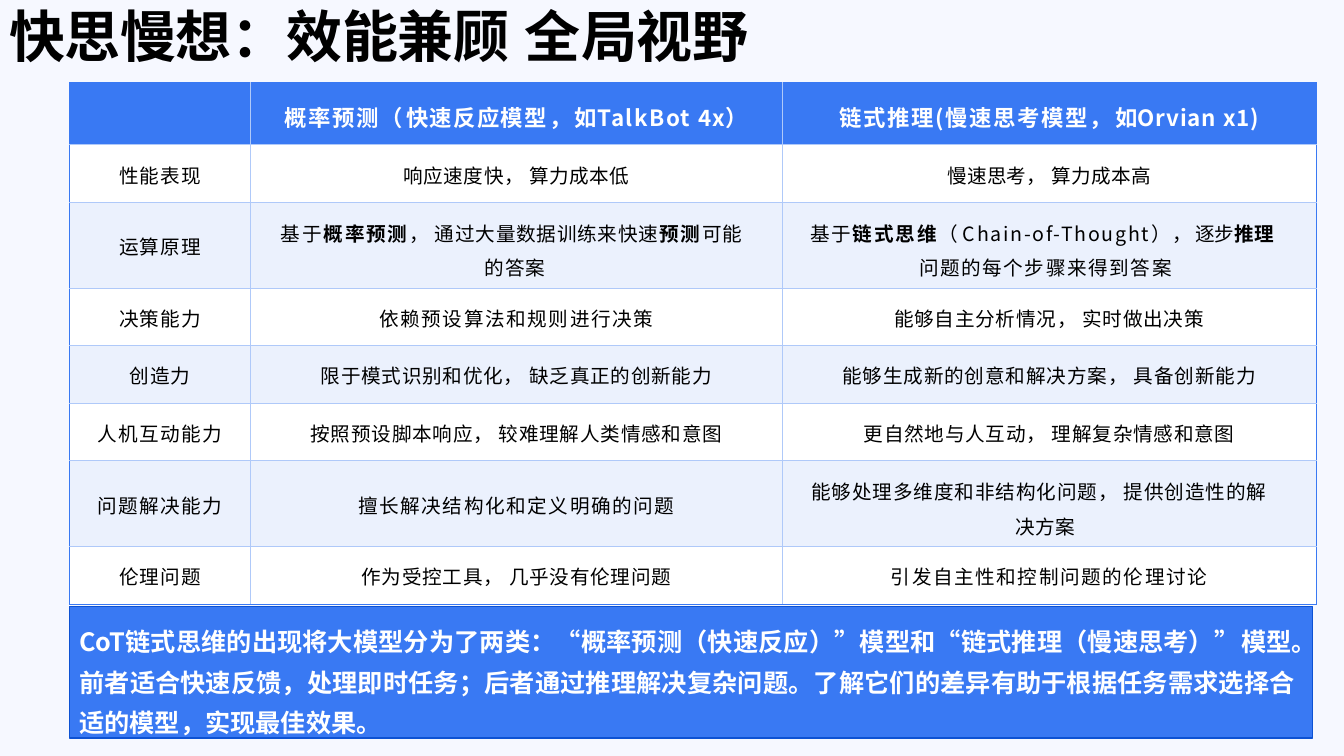
from dataclasses import dataclass

from lxml.etree import SubElement
from pptx import Presentation
from pptx.dml.color import RGBColor
from pptx.enum.shapes import MSO_SHAPE as Preset
from pptx.enum.text import MSO_ANCHOR as Anchor, PP_ALIGN as Align
from pptx.oxml import parse_xml
from pptx.oxml.ns import nsdecls, qn
from pptx.util import Cm, Pt


@dataclass(frozen=True)
class Theme:
    background: str = "F6F8FF"
    blue: str = "3979F3"
    outline: str = "0D52D3"
    grid: str = "AFC9F9"
    band: str = "EBF1FD"
    white: str = "FFFFFF"
    black: str = "000000"
    regular: str = "Noto Sans CJK SC"
    strong: str = "Noto Sans CJK TC"
    title: int = 40
    header: int = 16
    body: int = 14
    summary: int = 18


@dataclass(frozen=True)
class Piece:
    text: str
    spacing: float = 0
    bold: bool = False


@dataclass(frozen=True)
class Hanging:
    left: float
    first: float


THEME = Theme()
COLUMN_WIDTHS = (4.57, 13.39, 13.46)
HEADER_HEIGHT, ROW_HEIGHT, TALL_HEIGHT, SUMMARY_HEIGHT = 1.57, 1.45, 2.16, 3.38

TITLE = [Piece("快思慢想：效能兼", -0.3, True), Piece("顾 全", 0.8, True), Piece("局视野", -0.3, True)]

HEADERS = [
    [],
    [Piece("概率预测", 1.2, True), Piece("（ 快", -0.5, True), Piece("速反应模型", 1.2, True),
     Piece("， 如", -0.6, True), Piece("TalkBot ", 1.1, True), Piece("4x）", 0.5, True)],
    [Piece("链式推理(慢速思考模型", 1.2, True), Piece("， 如", -0.6, True),
     Piece("Orvian ", 0.6, True), Piece("x1)", 0.5, True)],
]

ROWS = [
    [[Piece("性能表现", 0.8)], [Piece("响应速度快， 算力成本低", 0.3)], [Piece("慢速思考， 算力成本高", 0.2)]],
    [
        [Piece("运算原理", 0.8)],
        [Piece("基于", 1.2), Piece("概率预测", 1.3, True), Piece("， 通过大量数据训练来快速", 0.5),
         Piece("预测", 1.3, True), Piece("可能", 0.3), Piece("的答案", 0.7)],
        [Piece("基于", 1.2), Piece("链式思维", 1.3, True), Piece("（ "), Piece("Chain-of-Thought）", 1.2),
         Piece("， 逐步", -0.4), Piece("推理", 0.4, True), Piece("问题的每个步骤来得到答案", 1.1)],
    ],
    [[Piece("决策能力", 0.8)], [Piece("依赖预设算法和规则进行决策", 1.1)],
     [Piece("能够自主分析情况， 实时做出决策", 0.5)]],
    [[Piece("创造力", 0.7)], [Piece("限于模式识别和优化， 缺乏真正的创新能力", 0.5)],
     [Piece("能够生成新的创意和解决方案， 具备创新能力", 0.6)]],
    [[Piece("人机互动能力", 0.9)], [Piece("按照预设脚本响应， 较难理解人类情感和意图", 0.5)],
     [Piece("更自然地与人互动， 理解复杂情感和意图", 0.5)]],
    [[Piece("问题解决能力", 0.9)], [Piece("擅长解决结构化和定义明确的问题", 1.1)],
     [Piece("能够处理多维度和非结构化问题， 提供创造性的解决方案", 0.6)]],
    [[Piece("伦理问题", 0.8)], [Piece("作为受控工具， 几乎没有伦理问题", 0.5)],
     [Piece("引发自主性和控制问题的伦理讨论", 1.1)]],
]

HANGING = {(2, 1): Hanging(5.89, -5.13), (2, 2): Hanging(3.45, -2.74), (6, 2): Hanging(5.87, -5.13)}

SUMMARY = [
    Piece("CoT", -0.1, True),
    Piece("链式思维的出现将大模型分为了两类：“概率预测（快速反应）”模型和“链式推理（慢速思考）”", 0.1, True),
    Piece("模型。", 0, True),
    Piece("前者适合快速反馈，处理即时任务；后者通过推理解决复杂问题。了解它们的差异有助于根据任务需求选择合", 0.1, True),
    Piece("适的模型，实现最佳效果。", 0, True),
]


def color(value):
    """Turn a hex value into a colour."""
    return RGBColor.from_string(value)


def write_pieces(paragraph, pieces, size, font_color):
    """Add letter-spaced runs to a paragraph."""
    for piece in pieces:
        run = paragraph.add_run()
        run.text = piece.text
        run.font.size = Pt(size)
        run.font.bold = piece.bold
        run.font.color.rgb = color(font_color)
        typeface = THEME.strong if piece.bold else THEME.regular
        run.font.name = typeface
        properties = run._r.get_or_add_rPr()
        properties.set("spc", str(round(piece.spacing * 100)))
        SubElement(properties, qn("a:ea")).set("typeface", typeface)


def indent(paragraph, hanging):
    """Set the left margin and the first-line indent."""
    properties = paragraph._p.get_or_add_pPr()
    properties.set("marL", str(Cm(hanging.left)))
    properties.set("indent", str(Cm(hanging.first)))


def set_borders(cell, left=None, right=None, top=None, bottom=None):
    """Draw the given cell edges and hide the others."""
    properties = cell._tc.get_or_add_tcPr()
    edges = {"L": left, "R": right, "T": top, "B": bottom}
    for position, (side, value) in enumerate(edges.items()):
        paint = f'<a:solidFill><a:srgbClr val="{value}"/></a:solidFill>' if value else "<a:noFill/>"
        line = parse_xml(f'<a:ln{side} {nsdecls("a")} w="{Pt(0.75)}">{paint}</a:ln{side}>')
        properties.insert(position, line)


def set_margins(cell, left=0, right=0, top=0):
    """Set the inner margins of a cell."""
    cell.margin_left, cell.margin_right = Cm(left), Cm(right)
    cell.margin_top, cell.margin_bottom = Cm(top), Cm(0)


def fill_cell(cell, pieces, size, font_color, fill, top):
    """Fill a table cell with centred text."""
    cell.fill.solid()
    cell.fill.fore_color.rgb = color(fill)
    cell.vertical_anchor = Anchor.MIDDLE
    set_margins(cell, top=top)
    paragraph = cell.text_frame.paragraphs[0]
    paragraph.alignment = Align.CENTER
    write_pieces(paragraph, pieces, size, font_color)


def hang_cell(cell, hanging):
    """Lay out a two-line cell with a hanging indent."""
    set_margins(cell, right=0.9, top=0.1)
    paragraph = cell.text_frame.paragraphs[0]
    paragraph.alignment = Align.LEFT
    paragraph.line_spacing = 1.2
    indent(paragraph, hanging)


def add_title(slide):
    """Add the slide title."""
    box = slide.shapes.add_textbox(Cm(0.23), Cm(0), Cm(18.9), Cm(1.75))
    frame = box.text_frame
    frame.word_wrap = False
    frame.vertical_anchor = Anchor.MIDDLE
    frame.margin_left = frame.margin_right = frame.margin_top = frame.margin_bottom = Cm(0)
    write_pieces(frame.paragraphs[0], TITLE, THEME.title, THEME.black)


def add_summary_panel(slide):
    """Add the blue panel behind the summary."""
    panel = slide.shapes.add_shape(Preset.RECTANGLE, Cm(1.75), Cm(15.28), Cm(31.33), Cm(3.32))
    panel.shadow.inherit = False
    panel.fill.solid()
    panel.fill.fore_color.rgb = color(THEME.blue)
    panel.line.color.rgb = color(THEME.outline)
    panel.line.width = Pt(1)


def add_summary(table):
    """Write the summary across the last row."""
    last = len(table.rows) - 1
    cell = table.cell(last, 0)
    cell.merge(table.cell(last, 2))
    for column in range(3):
        part = table.cell(last, column)
        part.fill.background()
        set_borders(part, top=THEME.blue)
    set_margins(cell, right=0.1, top=0.38)
    paragraph = cell.text_frame.paragraphs[0]
    paragraph.line_spacing = 1.1
    indent(paragraph, Hanging(0.25, 0))
    write_pieces(paragraph, SUMMARY, THEME.summary, THEME.white)


def add_comparison(slide):
    """Add the comparison table of the two model types."""
    tall = {row for row, _ in HANGING}
    heights = [HEADER_HEIGHT]
    heights += [TALL_HEIGHT if row in tall else ROW_HEIGHT for row in range(1, len(ROWS) + 1)]
    heights.append(SUMMARY_HEIGHT)
    table = slide.shapes.add_table(len(heights), 3, Cm(1.75), Cm(2.08),
                                   Cm(sum(COLUMN_WIDTHS)), Cm(sum(heights))).table
    table.first_row = table.horz_banding = False
    for column, width in zip(table.columns, COLUMN_WIDTHS):
        column.width = Cm(width)
    for row, height in zip(table.rows, heights):
        row.height = Cm(height)
    for row, contents in enumerate([HEADERS] + ROWS):
        for column, pieces in enumerate(contents):
            cell = table.cell(row, column)
            if row == 0:
                fill_cell(cell, pieces, THEME.header, THEME.white, THEME.blue, 0.15)
            else:
                fill = THEME.white if row % 2 else THEME.band
                fill_cell(cell, pieces, THEME.body, THEME.black, fill, 0.05)
            if (row, column) in HANGING:
                hang_cell(cell, HANGING[row, column])
            set_borders(cell,
                        left=THEME.grid if column else THEME.blue,
                        right=THEME.grid if column < 2 else THEME.blue,
                        top=THEME.grid if row else THEME.blue,
                        bottom=THEME.grid if row < len(ROWS) else THEME.blue)
    add_summary(table)


def main():
    """Build and save the slide."""
    presentation = Presentation()
    presentation.slide_width, presentation.slide_height = Cm(33.87), Cm(19.05)
    slide = presentation.slides.add_slide(presentation.slide_layouts[6])
    slide.background.fill.solid()
    slide.background.fill.fore_color.rgb = color(THEME.background)
    add_summary_panel(slide)
    add_title(slide)
    add_comparison(slide)
    presentation.save("out.pptx")


if __name__ == "__main__":
    main()
